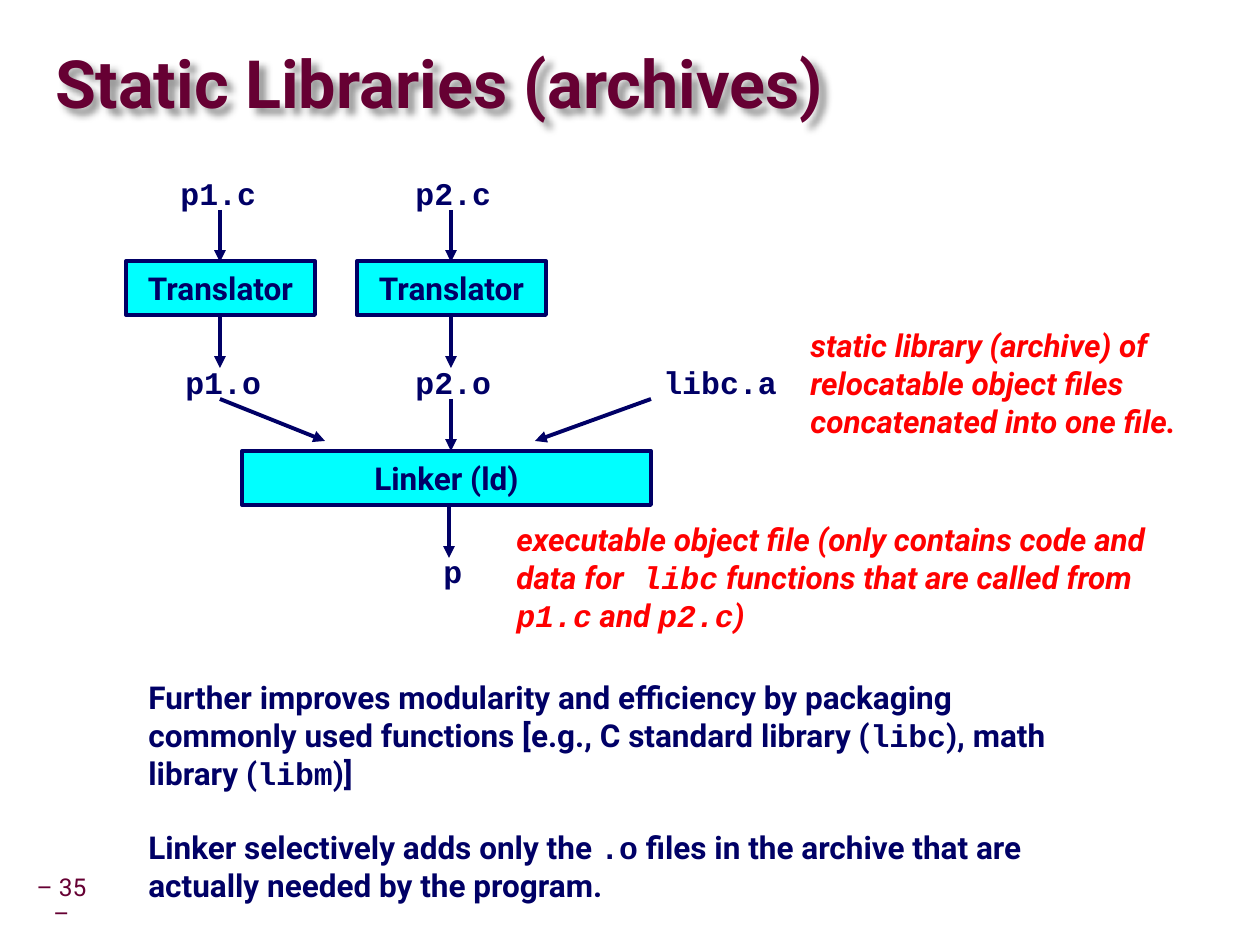
import lxml.etree
import pptx
import pptx.dml.color
import pptx.enum.shapes
import pptx.enum.text
import pptx.oxml
import pptx.oxml.ns
import pptx.util

EMU_PER_PX = 914400 // 126
COLORS = {"ink": "000066", "title": "660033", "note": "FF0000", "box": "00FFFF"}
BODY_FONT = "Roboto"
CODE_FONT = "Courier New"
ALIGN = pptx.enum.text.PP_ALIGN
MIDDLE = pptx.enum.text.MSO_ANCHOR.MIDDLE
TITLE_SHADOW = (
    f'<a:effectLst {pptx.oxml.ns.nsdecls("a")}>'
    '<a:outerShdw blurRad="50800" dist="53882" dir="2700000" algn="ctr">'
    '<a:srgbClr val="000000"><a:alpha val="40000"/></a:srgbClr>'
    '</a:outerShdw></a:effectLst>'
)


def px(*lengths):
    return [pptx.util.Emu(length * EMU_PER_PX) for length in lengths]


def rgb(name):
    return pptx.dml.color.RGBColor.from_string(COLORS[name])


class SlideBuilder:
    def __init__(self, slide):
        self.slide = slide

    def add_runs(self, paragraph, text, color="ink", size=18, bold=True, italic=False):
        """Fill a paragraph; parts between backticks are set in the code font."""
        for index, part in enumerate(text.split("`")):
            if not part:
                continue
            run = paragraph.add_run()
            run.text = part
            run.font.name = CODE_FONT if index % 2 else BODY_FONT
            run.font.size = pptx.util.Pt(size)
            run.font.bold = bold
            run.font.italic = italic
            run.font.color.rgb = rgb(color)

    def title(self, text, left, top, width, height):
        shape = self.slide.shapes.title
        shape.left, shape.top, shape.width, shape.height = px(left, top, width, height)
        frame = shape.text_frame
        frame.margin_left = frame.margin_right = 0
        frame.margin_top = frame.margin_bottom = 0
        frame.vertical_anchor = MIDDLE
        frame.auto_size = pptx.enum.text.MSO_AUTO_SIZE.NONE
        paragraph = frame.paragraphs[0]
        paragraph.alignment = ALIGN.LEFT
        paragraph.line_spacing = 0.87
        self.add_runs(paragraph, text, "title", 38)
        shape._element.spPr.append(pptx.oxml.parse_xml(TITLE_SHADOW))

    def text(self, paragraphs, left, top, width, height, wrap=True, gap=0, **style):
        shape = self.slide.shapes.add_textbox(*px(left, top, width, height))
        frame = shape.text_frame
        frame.word_wrap = wrap
        for index, text in enumerate(paragraphs):
            paragraph = frame.add_paragraph() if index else frame.paragraphs[0]
            if index:
                paragraph.space_before = pptx.util.Pt(gap)
            self.add_runs(paragraph, text, **style)
        return frame

    def file_label(self, name, left, top, width=101):
        self.text([f"`{name}`"], left, top, width, 50, wrap=False)

    def tool_box(self, text, left, top, width):
        shape = self.slide.shapes.add_shape(
            pptx.enum.shapes.MSO_SHAPE.RECTANGLE, *px(left, top, width, 54))
        shape.shadow.inherit = False
        shape.fill.solid()
        shape.fill.fore_color.rgb = rgb("box")
        shape.line.color.rgb = rgb("ink")
        shape.line.width = pptx.util.Pt(2.25)
        shape.text_frame.vertical_anchor = MIDDLE
        paragraph = shape.text_frame.paragraphs[0]
        paragraph.alignment = ALIGN.CENTER
        self.add_runs(paragraph, text)

    def arrow(self, start_x, start_y, end_x, end_y):
        connector = self.slide.shapes.add_connector(
            pptx.enum.shapes.MSO_CONNECTOR.STRAIGHT, *px(start_x, start_y, end_x, end_y))
        connector.line.color.rgb = rgb("ink")
        connector.line.width = pptx.util.Pt(2.25)
        tag = pptx.oxml.ns.qn
        line = connector._element.spPr.find(tag("a:ln"))
        lxml.etree.SubElement(line, tag("a:tailEnd"), type="triangle")
        lxml.etree.SubElement(connector._element.spPr, tag("a:effectLst"))

    def page_number(self, text, left, top, width, height):
        frame = self.text([text], left, top, width, height,
                          color="title", size=14, bold=False)
        frame.margin_left, frame.margin_right = px(0, 20)
        frame.margin_top, frame.margin_bottom = px(6, 6)
        frame.vertical_anchor = MIDDLE
        frame.paragraphs[0].alignment = ALIGN.CENTER
        frame.paragraphs[0].line_spacing = 0.9


def main():
    presentation = pptx.Presentation()
    presentation.slide_width = pptx.util.Inches(10)
    presentation.slide_height = pptx.util.Inches(7.5)
    slide = presentation.slides.add_slide(presentation.slide_layouts[5])
    builder = SlideBuilder(slide)

    builder.title("Static Libraries (archives)", 55, 34, 1201, 107)
    builder.page_number("– 35 –", 30, 882, 83, 39)

    # One column per source file: source, translator, object file
    for name, center, source_left, object_left in (
            ("p1", 220, 168, 173), ("p2", 451, 403, 403)):
        builder.arrow(center, 210, center, 262)
        builder.tool_box("Translator", center - 94, 261, 189)
        builder.arrow(center, 315, center, 368)
        builder.file_label(f"{name}.c", source_left, 168)
        builder.file_label(f"{name}.o", object_left, 357)

    # Object files and the library meet in the linker
    builder.file_label("libc.a", 651, 357, 139)
    builder.arrow(220, 399, 325, 441)
    builder.arrow(451, 399, 451, 451)
    builder.arrow(651, 399, 535, 441)
    builder.tool_box("Linker (ld)", 242, 451, 409)
    builder.arrow(449, 505, 449, 558)
    builder.file_label("p", 431, 546, 44)

    builder.text(["static library (archive) of relocatable object files "
                  "concatenated into one file."],
                 798, 320, 441, 126, color="note", italic=True)
    builder.text(["executable object file (only contains code and data for` libc` "
                  "functions that are called from `p1.c` and `p2.c`)"],
                 504, 514, 672, 126, color="note", italic=True)
    builder.text(["Further improves modularity and efficiency by packaging commonly "
                  "used functions [e.g., C standard library (`libc`), math library "
                  "(`libm`)]",
                  "Linker selectively adds only the `.o` files in the archive that "
                  "are actually needed by the program."],
                 136, 672, 945, 239, gap=21)

    presentation.save("out.pptx")


if __name__ == "__main__":
    main()
